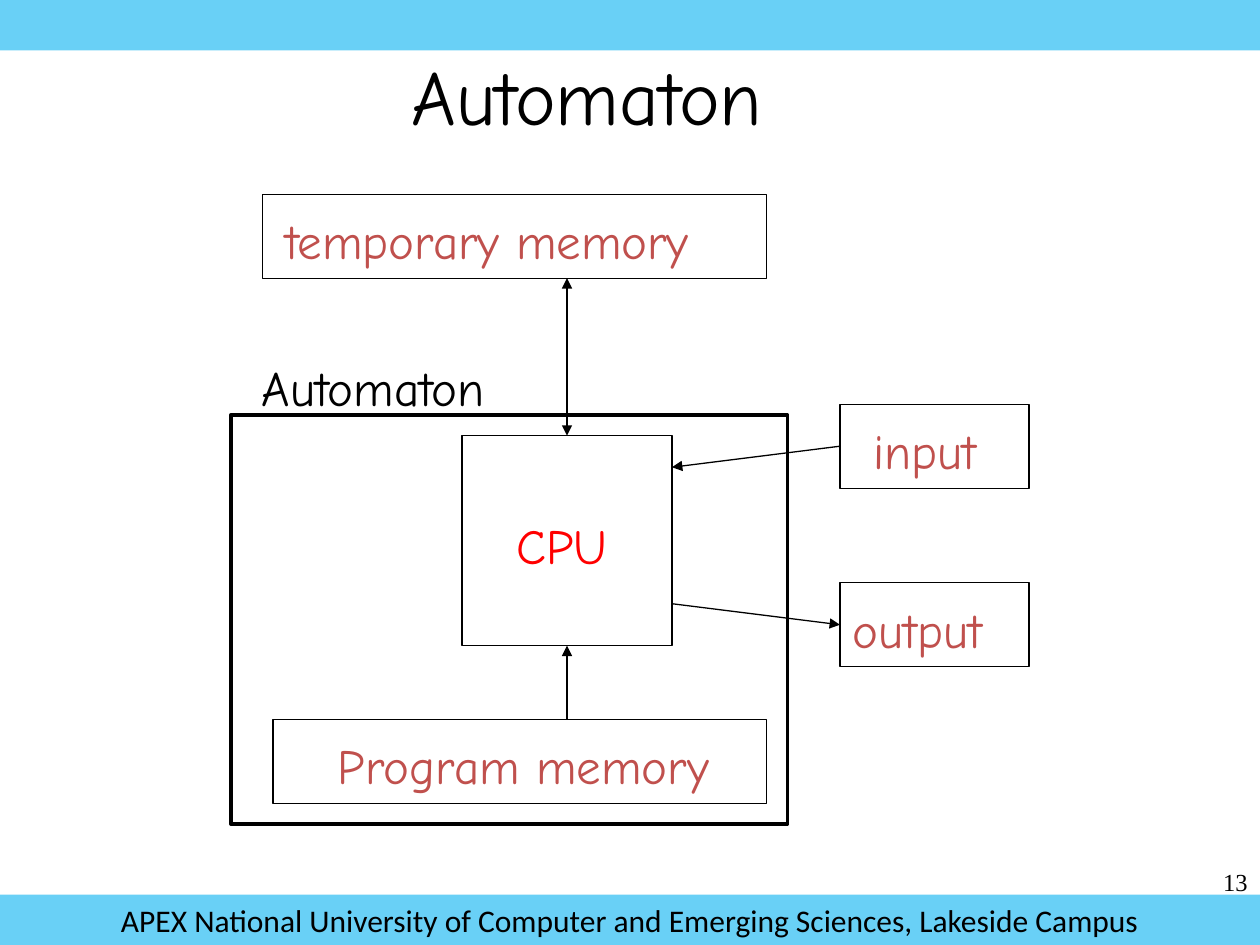
from dataclasses import dataclass
from typing import Any

from lxml import etree
from pptx import Presentation
from pptx import util as u
from pptx.dml import color
from pptx.enum import shapes, text
from pptx.oxml import ns


def rgb(hex_string):
    return color.RGBColor.from_string(hex_string)


@dataclass
class AutomatonSlide:
    """Draws diagram elements in one style, with all lengths in points."""

    slide: Any
    font: str = "Comic Neue"
    ink: str = "000000"
    label: str = "C0504D"
    band: str = "00B0F0"
    line_width: float = 0.75

    def set_words(self, shape, words, size, hue, font, align):
        shape.text_frame.text = words
        paragraph = shape.text_frame.paragraphs[0]
        paragraph.alignment = align
        style = paragraph.runs[0].font
        style.size, style.name = u.Pt(size), font
        style.color.rgb = rgb(hue)

    def text(self, words, left, top, width, height, size=28, hue=None,
             font=None, align=text.PP_ALIGN.LEFT, wrap=False):
        shape = self.slide.shapes.add_textbox(*map(u.Pt, (left, top, width, height)))
        self.set_words(shape, words, size, hue or self.label, font or self.font, align)
        shape.text_frame.word_wrap = wrap
        if not wrap:
            shape.text_frame.auto_size = text.MSO_AUTO_SIZE.SHAPE_TO_FIT_TEXT

    def rectangle(self, left, top, width, height):
        shape = self.slide.shapes.add_shape(
            shapes.MSO_SHAPE.RECTANGLE, *map(u.Pt, (left, top, width, height)))
        shape.shadow.inherit = False
        return shape

    def box(self, left, top, width, height, line_width=None):
        shape = self.rectangle(left, top, width, height)
        shape.fill.background()
        shape.line.color.rgb = rgb(self.ink)
        shape.line.width = u.Pt(line_width or self.line_width)

    def bar(self, top, words=None):
        shape = self.rectangle(0, top, 720, 28.8)
        shape.fill.solid()
        shape.fill.fore_color.rgb = rgb(self.band)
        fill = shape.element.spPr.find(ns.qn("a:solidFill"))
        etree.SubElement(fill[0], ns.qn("a:alpha"), val="59000")
        shape.line.fill.background()
        if words:
            self.set_words(shape, words, 18, self.ink, "Calibri", text.PP_ALIGN.CENTER)

    def arrow(self, start, end, both=False):
        connector = self.slide.shapes.add_connector(
            shapes.MSO_CONNECTOR.STRAIGHT, *map(u.Pt, (*start, *end)))
        connector.line.color.rgb = rgb(self.ink)
        connector.line.width = u.Pt(self.line_width)
        line = connector.element.spPr.find(ns.qn("a:ln"))
        for tag in ("a:headEnd", "a:tailEnd") if both else ("a:tailEnd",):
            etree.SubElement(line, ns.qn(tag), type="triangle")
        etree.SubElement(connector.element.spPr, ns.qn("a:effectLst"))


presentation = Presentation()
presentation.slide_width, presentation.slide_height = u.Pt(720), u.Pt(540)
drawing = AutomatonSlide(presentation.slides.add_slide(presentation.slide_layouts[6]))

drawing.text("Automaton", 228, 24, 237, 60, size=44, hue=drawing.ink)

drawing.box(264, 249, 120, 120)
drawing.text("CPU", 288, 291, 67, 41, hue="FF0000")

memories_and_ports = [
    ("temporary memory", (150, 111, 288), 156, 261),
    ("input", (480, 231, 108), 492, 80),
    ("output", (480, 333, 108), 480, 100),
    ("Program memory", (156, 411, 282), 186, 232),
]
for words, (left, top, width), text_left, text_width in memories_and_ports:
    drawing.box(left, top, width, 48)
    drawing.text(words, text_left, top + 6, text_width, 41)

drawing.arrow((324, 159), (324, 249), both=True)
drawing.arrow((480, 255), (384, 267))
drawing.arrow((384, 345), (480, 357))
drawing.arrow((324, 411), (324, 369))

drawing.box(132, 237, 318, 234, line_width=2)
drawing.text("Automaton", 142.5, 201, 156, 41, hue=drawing.ink)
drawing.text("13", 690, 492, 30, 24, size=14, hue=drawing.ink,
             font="Times New Roman", align=text.PP_ALIGN.RIGHT, wrap=True)

drawing.bar(0)
drawing.bar(511.2, "APEX National University of Computer and Emerging Sciences, Lakeside Campus")

presentation.save("out.pptx")
